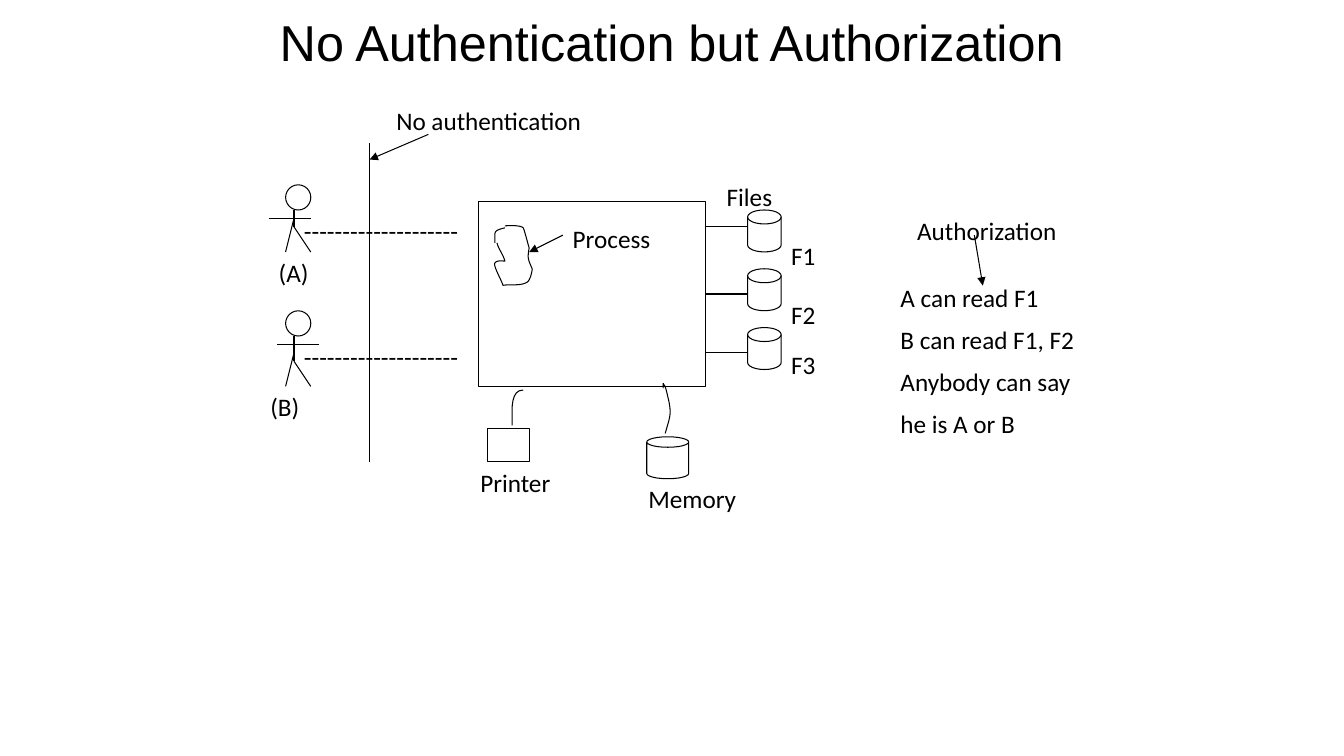
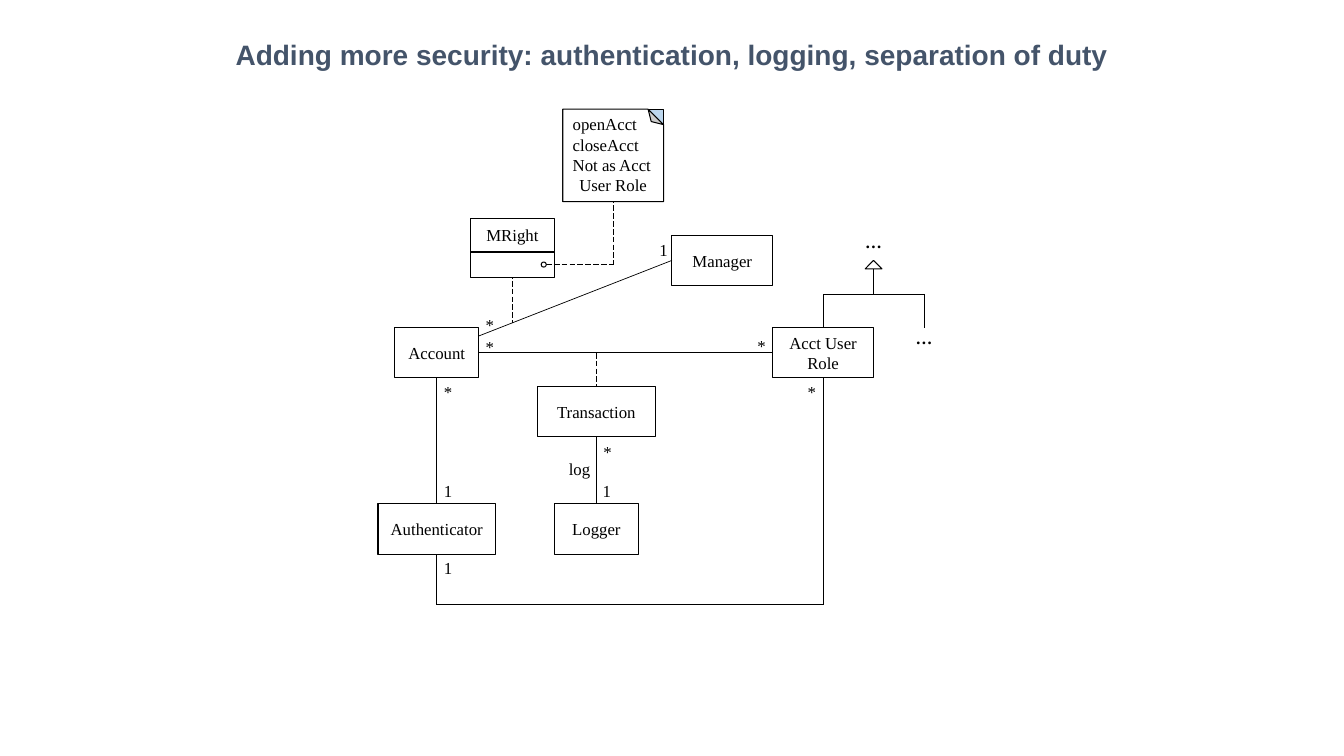
from dataclasses import dataclass
from itertools import pairwise
from typing import Any

from lxml.etree import SubElement
from pptx import Presentation
from pptx.dml.color import RGBColor
from pptx.enum.dml import MSO_LINE
from pptx.enum.shapes import MSO_CONNECTOR, MSO_SHAPE as SHAPE
from pptx.enum.text import MSO_ANCHOR as ANCHOR, MSO_AUTO_SIZE as AUTO, PP_ALIGN as ALIGN
from pptx.oxml.ns import qn
from pptx.util import Pt

# Shared look
BLACK, WHITE, SLATE, PALE_BLUE = "000000", "FFFFFF", "44546A", "BDD7EE"
TITLE_FONT, LABEL_FONT, UML_FONT = "Arial", "Calibri", "Times New Roman"
LABEL_SIZE, UML_SIZE = 18, 12
OUTLINE, THIN = 0.75, 0.5
MARK_WIDTH, LABEL_HEIGHT = 36, 28
CURVE_STEPS = 10


def color(hex_text):
    return RGBColor.from_string(hex_text)


def write(para, text, font, size, hex_text=BLACK, bold=False, align=ALIGN.LEFT):
    para.alignment = align
    span = para.add_run()
    span.text = text
    span.font.name = font
    span.font.size = Pt(size)
    span.font.bold = bold
    span.font.color.rgb = color(hex_text)


def move(holder, left, top, width, height):
    holder.left, holder.top = Pt(left), Pt(top)
    holder.width, holder.height = Pt(width), Pt(height)
    frame = holder.text_frame
    frame.word_wrap = True
    frame.auto_size = AUTO.NONE
    frame.vertical_anchor = ANCHOR.TOP
    return frame


def set_title(page, text, box, size, hex_text=BLACK, bold=False):
    frame = move(page.shapes.title, *box)
    write(frame.paragraphs[0], text, TITLE_FONT, size, hex_text, bold, ALIGN.CENTER)


def bezier(start, first, second, end):
    """Points along one cubic curve, without its start."""
    for step in range(1, CURVE_STEPS + 1):
        t = step / CURVE_STEPS
        weights = ((1 - t) ** 3, 3 * t * (1 - t) ** 2, 3 * t * t * (1 - t), t ** 3)
        yield tuple(sum(w * point[axis] for w, point in zip(weights, (start, first, second, end)))
                    for axis in (0, 1))


@dataclass
class Region:
    """Part of a page; everything is placed from its top left corner."""
    page: Any
    left: float
    top: float

    def at(self, x, y):
        return Pt(self.left + x), Pt(self.top + y)

    def shape(self, kind, x, y, width, height, text="", fill=WHITE):
        shape = self.page.shapes.add_shape(kind, *self.at(x, y), Pt(width), Pt(height))
        shape.shadow.inherit = False
        shape.fill.solid()
        shape.fill.fore_color.rgb = color(fill)
        shape.line.color.rgb = color(BLACK)
        shape.line.width = Pt(OUTLINE)
        if text:
            frame = shape.text_frame
            frame.word_wrap = True
            frame.vertical_anchor = ANCHOR.MIDDLE
            write(frame.paragraphs[0], text, UML_FONT, UML_SIZE, align=ALIGN.CENTER)
        return shape

    def route(self, *points, weight=OUTLINE, dashed=False, arrow=False):
        for start, end in pairwise(points):
            line = self.page.shapes.add_connector(
                MSO_CONNECTOR.STRAIGHT, *self.at(*start), *self.at(*end))
            line.line.color.rgb = color(BLACK)
            line.line.width = Pt(weight)
            if dashed:
                line.line.dash_style = MSO_LINE.LONG_DASH
            properties = line._element.spPr
            if arrow:
                SubElement(properties.find(qn("a:ln")), qn("a:tailEnd"), type="triangle")
            SubElement(properties, qn("a:effectLst"))

    def curve(self, start, *bends):
        points = []
        for bend in bends:
            points += bezier(start, *bend)
            start = bend[-1]
        return points

    def outline(self, start, *bends):
        builder = self.page.shapes.build_freeform(*self.at(*start), scale=1.0)
        builder.add_line_segments(
            [self.at(*point) for point in self.curve(start, *bends)], close=False)
        shape = builder.convert_to_shape()
        shape.shadow.inherit = False
        shape.fill.background()
        shape.line.color.rgb = color(BLACK)
        shape.line.width = Pt(OUTLINE)

    def text_box(self, x, y, width, height=LABEL_HEIGHT):
        box = self.page.shapes.add_textbox(*self.at(x, y), Pt(width), Pt(height))
        box.text_frame.word_wrap = True
        return box.text_frame

    def label(self, text, x, y, width):
        write(self.text_box(x, y, width).paragraphs[0], text, LABEL_FONT, LABEL_SIZE)

    def mark(self, text, center, y, bold=False):
        frame = self.text_box(center - MARK_WIDTH / 2, y, MARK_WIDTH, 22)
        write(frame.paragraphs[0], text, UML_FONT, UML_SIZE, bold=bold, align=ALIGN.CENTER)


# Slide 1: users, computer, files and permissions
def draw_barrier(area):
    area.route((0, 30), (0, 258))
    area.label("No authentication", 12, 0, 210)
    area.route((42, 24), (0, 42), arrow=True)


def draw_user(area, name, waist, arm_left, label_left):
    area.shape(SHAPE.OVAL, 0, 0, 18, 18)
    area.route((6, 18), (6, waist))
    area.route((6, waist - 6), (0, waist + 18))
    area.route((6, waist), (18, waist + 18))
    area.route((arm_left, 24), (arm_left + 30, 24))
    area.label("-" * 20, 6, 18, 150)
    area.label(name, label_left, waist + 18, 54)


def draw_computer(area):
    area.shape(SHAPE.RECTANGLE, 0, 0, 162, 132)
    # Process blob
    area.outline((18.7, 18.7), ((10, 21), (11.5, 21), (11.5, 29.5)))
    area.outline(
        (13, 29.5),
        ((14.4, 34.6), (17.3, 37.4), (18.7, 42.5)),
        ((16.6, 42.5), (13, 41.8), (11.5, 43.9)),
        ((10, 45.4), (16.6, 56.9), (17.3, 59.8)),
        ((23, 59), (29.5, 60.5), (34.6, 57.6)),
        ((37.4, 55.4), (38.2, 48.2), (38.2, 48.2)),
        ((35.3, 41), (34.6, 41), (36, 33.1)),
        ((35.3, 31), (32.4, 19.4), (31.7, 18.7)),
        ((29.5, 16.6), (20.9, 17.3), (18.7, 17.3)))
    area.label("Process", 60, 12, 96)
    area.route((60, 24), (36, 36), arrow=True)
    # Printer and memory with their cables
    area.shape(SHAPE.RECTANGLE, 6, 162, 30, 24)
    area.label("Printer", -6, 186, 96)
    area.outline((23.8, 159.8), ((24.5, 154.8), (20.9, 134.6), (31.7, 134.6)))
    area.shape(SHAPE.CAN, 120, 168, 30, 30)
    area.label("Memory", 114, 198, 126)
    area.outline((133.2, 165.6),
                 ((136.8, 152.6), (138.2, 151.9), (134.6, 137.5)),
                 ((131, 121.7), (131.8, 140.4), (131.8, 129.6)))


def draw_files(area):
    area.label("Files", 8, 0, 100)
    rows = (("F1", 36, 42), ("F2", 84, 84), ("F3", 126, 120))
    for index, (name, wire_y, label_y) in enumerate(rows):
        area.shape(SHAPE.FLOWCHART_MAGNETIC_DISK, 30, 24 + 42 * index, 24, 30)
        area.route((30, wire_y), (0, wire_y))
        area.label(name, 54, label_y, 42)


def draw_permissions(area):
    area.label("Authorization", 12, 0, 132)
    area.route((60, 18), (66, 54), arrow=True)
    frame = move(area.page.placeholders[1], area.left, area.top + 48, 204, 127)
    lines = ("A can read F1", "B can read F1, F2", "Anybody can say", "he is A or B")
    for index, text in enumerate(lines):
        para = frame.add_paragraph() if index else frame.paragraphs[0]
        write(para, text, LABEL_FONT, LABEL_SIZE)
        para.space_before = Pt(8.5 if index else 0)
        properties = para._p.get_or_add_pPr()
        properties.set("marL", "0")
        properties.set("indent", "0")
        SubElement(properties, qn("a:buNone"))


def build_authorization(deck):
    page = deck.slides.add_slide(deck.slide_layouts[1])
    set_title(page, "No Authentication but Authorization", (120, 4, 720, 54), 36)
    draw_barrier(Region(page, 264, 72))
    draw_user(Region(page, 204, 132), "(A)", 30, -12, -12)
    draw_user(Region(page, 204, 222), "(B)", 36, -6, -18)
    draw_computer(Region(page, 342, 144))
    draw_files(Region(page, 504, 126))
    draw_permissions(Region(page, 636, 150))


# Slide 2: class diagram
def draw_classes(area):
    classes = (("Account", 12, 66, 60), ("Authenticator", 0, 192, 84),
               ("Logger", 126, 192, 60), ("Transaction", 114, 108, 84),
               ("Acct User Role", 282, 66, 72), ("Manager", 210, 0, 72))
    for name, x, y, width in classes:
        area.shape(SHAPE.RECTANGLE, x, y, width, 36, name)
    # Associations
    area.route((156, 144), (156, 192), weight=THIN)
    area.route((42, 102), (42, 192), weight=THIN)
    area.route((42, 228), (42, 264), (318, 264), (318, 102), weight=THIN)
    area.route((72, 84), (282, 84), weight=THIN)
    area.route((72, 72), (210, 18), weight=THIN)
    area.route((156, 84), (156, 108), weight=THIN, dashed=True)
    # Multiplicities
    marks = (("1", 163.5, 172), ("*", 164, 144), ("log", 144, 156), ("*", 50, 101),
             ("*", 80, 69), ("*", 80, 53), ("*", 274, 68), ("*", 310, 101),
             ("1", 204, 0), ("1", 50, 172), ("1", 50, 227))
    for text, center, y in marks:
        area.mark(text, center, y)


def draw_hierarchy(area):
    area.route((0, 72), (0, 48), (72, 48), (72, 72), weight=THIN)
    area.route((36, 24), (36, 48), weight=THIN)
    area.shape(SHAPE.ISOSCELES_TRIANGLE, 30, 24, 12, 6)
    area.mark("…", 36, 0, bold=True)
    area.mark("…", 72, 68.4, bold=True)


def draw_right(area):
    area.route((30, 117), (30, 153), weight=THIN, dashed=True)
    area.route((102, 63), (102, 111), weight=THIN, dashed=True)
    # Note with a folded corner
    area.shape(SHAPE.RECTANGLE, 66, 0, 72, 66, fill=PALE_BLUE)
    area.shape(SHAPE.FOLDED_CORNER, 69, -3, 66, 72).rotation = 270
    frame = area.text_box(66, 0, 72, 66)
    for index, text in enumerate(("openAcct", "closeAcct", "Not as Acct", "User Role")):
        para = frame.add_paragraph() if index else frame.paragraphs[0]
        write(para, text, UML_FONT, UML_SIZE,
              align=ALIGN.CENTER if text == "User Role" else ALIGN.LEFT)
    # Association class
    area.shape(SHAPE.RECTANGLE, 0, 78, 60, 24, "MRight")
    area.shape(SHAPE.RECTANGLE, 0, 102, 60, 18)
    area.route((54, 111), (102, 111), weight=THIN, dashed=True)
    area.shape(SHAPE.OVAL, 50.6, 109.2, 3.6, 3.6)


def build_security(deck):
    page = deck.slides.add_slide(deck.slide_layouts[5])
    set_title(page, "Adding more security: authentication, logging, separation of duty",
              (156, 23.5, 648, 56), 20, SLATE, True)
    draw_classes(Region(page, 270, 168))
    draw_hierarchy(Region(page, 588, 162))
    draw_right(Region(page, 336, 78))


def main():
    deck = Presentation()
    deck.slide_width, deck.slide_height = Pt(960), Pt(540)
    build_authorization(deck)
    build_security(deck)
    deck.save("out.pptx")


if __name__ == "__main__":
    main()
